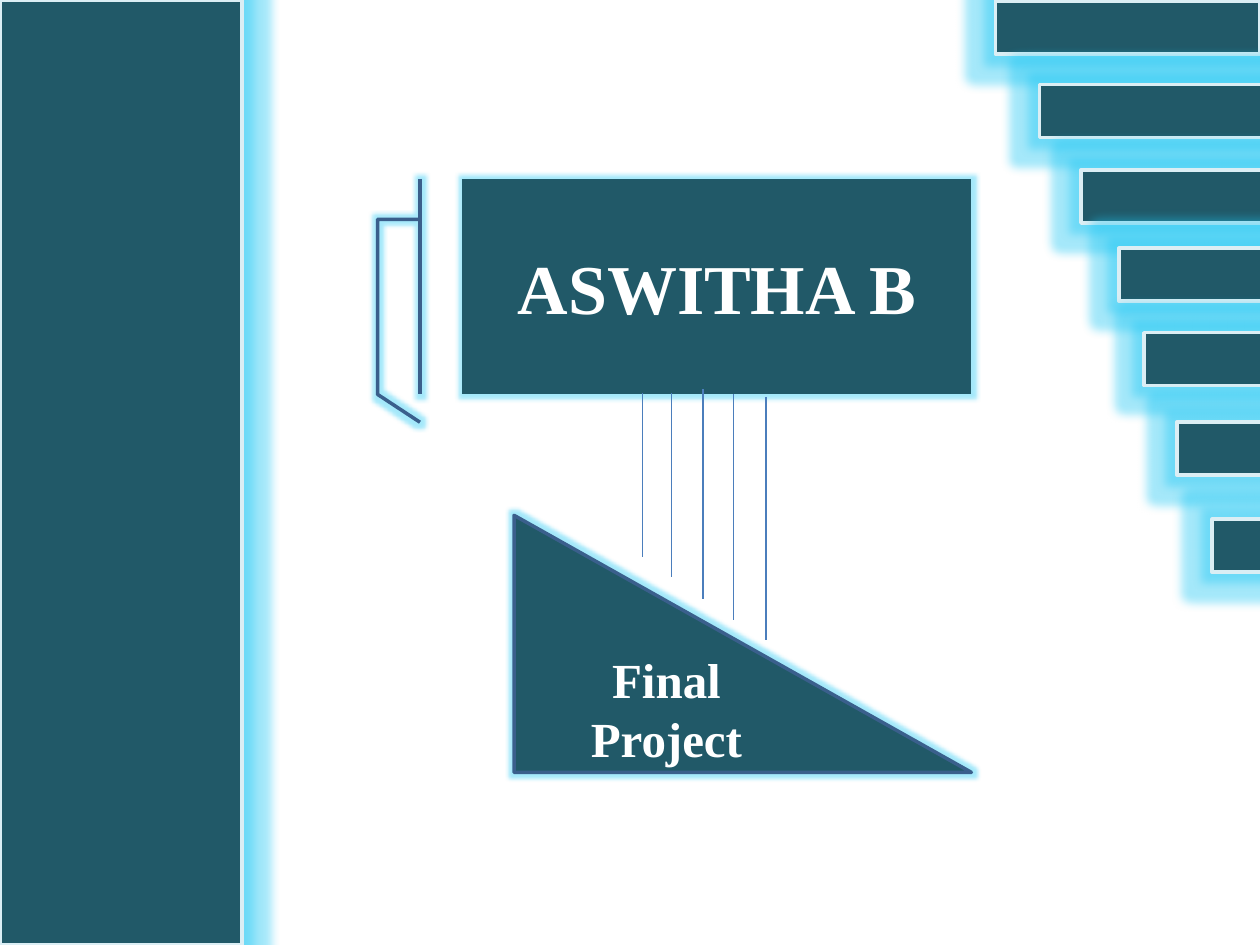
from dataclasses import dataclass

from lxml import etree
from pptx import Presentation
from pptx.dml.color import RGBColor
from pptx.enum.shapes import MSO_CONNECTOR, MSO_SHAPE
from pptx.enum.text import MSO_ANCHOR, PP_ALIGN
from pptx.oxml.ns import qn
from pptx.util import Pt

RECTANGLE = MSO_SHAPE.RECTANGLE
CALLOUT = MSO_SHAPE.LINE_CALLOUT_3_ACCENT_BAR
TRIANGLE = MSO_SHAPE.RIGHT_TRIANGLE
STRAIGHT = MSO_CONNECTOR.STRAIGHT
MIDDLE = MSO_ANCHOR.MIDDLE
CENTER = PP_ALIGN.CENTER

FONT = "Times New Roman"
COLORS = {
    "teal": "215968",
    "pale": "DBEEF4",
    "navy": "3A5F8C",
    "blue": "4B7EBC",
    "glow": "1DC7F4",
    "white": "FFFFFF",
}


@dataclass
class Panel:
    kind: MSO_SHAPE
    left: float
    top: float
    width: float
    height: float
    border: str = "pale"
    glow: float = 11
    text: str = ""
    size: float = 0


@dataclass
class Strand:
    x: float
    top: float
    bottom: float


def color(name: str) -> RGBColor:
    return RGBColor.from_string(COLORS[name])


def add_glow(shape, radius: float) -> None:
    effects = shape._element.spPr.find(qn("a:effectLst"))
    glow = etree.SubElement(effects, qn("a:glow"), rad=str(Pt(radius)))
    tint = etree.SubElement(glow, qn("a:srgbClr"), val=COLORS["glow"])
    etree.SubElement(tint, qn("a:alpha"), val="40000")


def draw_panel(page, panel: Panel) -> None:
    shape = page.shapes.add_shape(
        panel.kind, Pt(panel.left), Pt(panel.top), Pt(panel.width), Pt(panel.height)
    )
    shape.fill.solid()
    shape.fill.fore_color.rgb = color("teal")
    shape.line.color.rgb = color(panel.border)
    shape.line.width = Pt(2)
    shape.shadow.inherit = False
    add_glow(shape, panel.glow)
    if panel.text:
        frame = shape.text_frame
        frame.text = panel.text
        frame.word_wrap = True
        frame.vertical_anchor = MIDDLE
        para = frame.paragraphs[0]
        para.alignment = CENTER
        font = para.runs[0].font
        font.name = FONT
        font.size = Pt(panel.size)
        font.bold = True
        font.color.rgb = color("white")


def draw_strand(page, strand: Strand) -> None:
    line = page.shapes.add_connector(
        STRAIGHT, Pt(strand.x), Pt(strand.top), Pt(strand.x), Pt(strand.bottom)
    )
    line.line.color.rgb = color("blue")
    line.line.width = Pt(0.75)
    etree.SubElement(line._element.spPr, qn("a:effectLst"))


# Left band and the stepped bars running off the right edge
BAR_HEIGHT = 30.24
STEP_WIDTH = 131.76
STEPS = [
    (594, 48.24),
    (617.76, 97.2),
    (639.36, 141.84),
    (653.76, 190.08),
    (672.48, 241.2),
    (692.64, 296.64),
]
BARS = [
    Panel(RECTANGLE, 0, 0, 138.24, 540),
    Panel(RECTANGLE, 568.8, 0.72, 151.2, BAR_HEIGHT),
    *(Panel(RECTANGLE, left, top, STEP_WIDTH, BAR_HEIGHT) for left, top in STEPS),
]

# Name callout, title triangle and the strands between them
NAME = Panel(CALLOUT, 264.24, 102.24, 290.88, 123.12, "navy", 5, "ASWITHA B", 40)
TITLE = Panel(TRIANGLE, 293.76, 294.48, 261.36, 146.88, "navy", 5, "Final Project", 28)
STRANDS = [
    Strand(367.2, 224.64, 318.24),
    Strand(383.76, 224.64, 329.76),
    Strand(401.76, 222.48, 342),
    Strand(419.04, 225.36, 354.24),
    Strand(437.76, 226.8, 365.76),
]


def main() -> None:
    deck = Presentation()
    deck.slide_width = Pt(720)
    deck.slide_height = Pt(540)
    page = deck.slides.add_slide(deck.slide_layouts[6])

    for bar in BARS:
        draw_panel(page, bar)
    draw_panel(page, NAME)
    for strand in STRANDS:
        draw_strand(page, strand)
    draw_panel(page, TITLE)

    deck.save("out.pptx")


if __name__ == "__main__":
    main()
